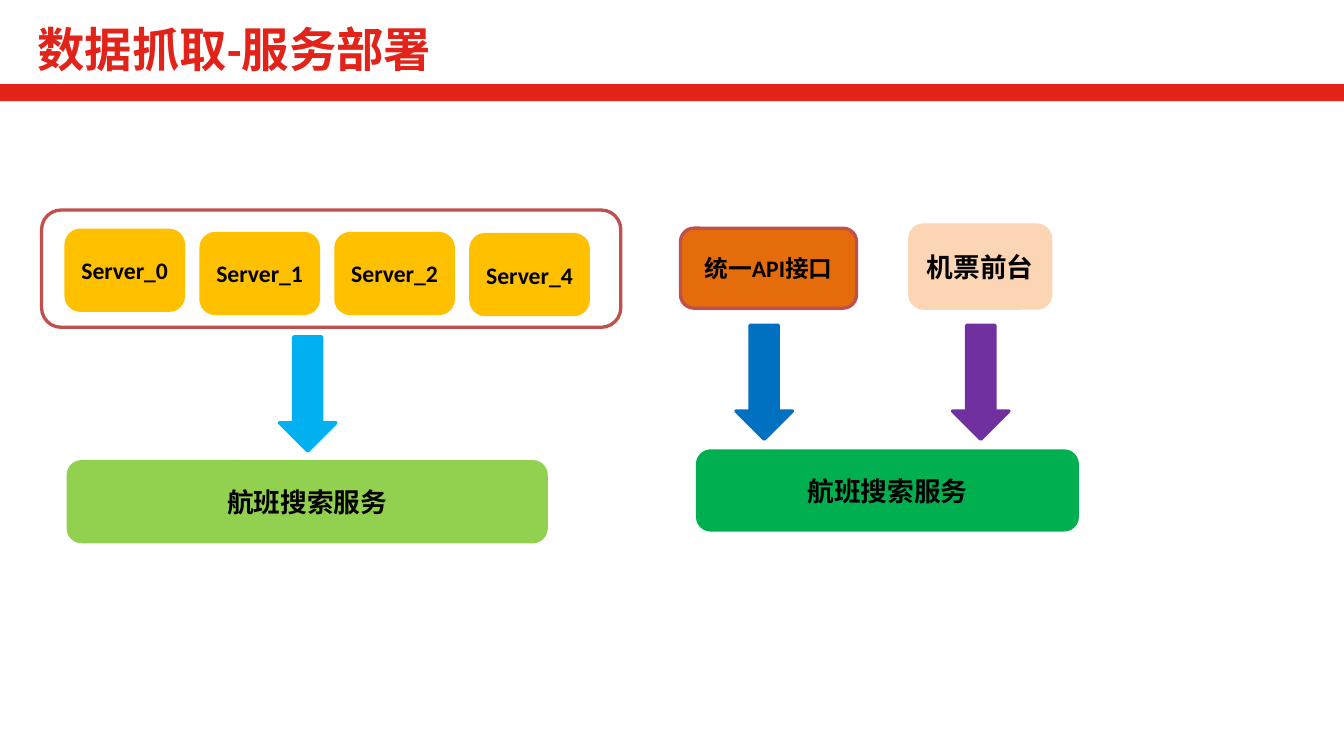
from lxml import etree
from pptx import Presentation
from pptx.dml.color import RGBColor
from pptx.enum.shapes import MSO_SHAPE
from pptx.enum.text import MSO_ANCHOR, PP_ALIGN
from pptx.oxml.ns import qn
from pptx.util import Inches, Pt

RECTANGLE = MSO_SHAPE.RECTANGLE
ROUNDED = MSO_SHAPE.ROUNDED_RECTANGLE
DOWN_ARROW = MSO_SHAPE.DOWN_ARROW
TOP = MSO_ANCHOR.TOP
MIDDLE = MSO_ANCHOR.MIDDLE
LEFT = PP_ALIGN.LEFT
CENTER = PP_ALIGN.CENTER

LATIN_FONT = "Calibri"
CHINESE_FONT = "Noto Sans CJK SC"
RED = "E2231A"
BRICK = "C0504D"
AMBER = "FFC000"
BLACK = "000000"
SERVER_TOPS = {"Server_0": 2.16, "Server_1": 2.19, "Server_2": 2.19, "Server_4": 2.2}


def color(value):
    """Turn a hex string into a colour."""
    return RGBColor.from_string(value)


def write_text(shape, text, size, ink, align, anchor):
    """Write one bold paragraph into a shape."""
    frame = shape.text_frame
    frame.text = text
    frame.word_wrap = False
    frame.vertical_anchor = anchor
    para = frame.paragraphs[0]
    para.alignment = align
    font = para.font
    font.name = LATIN_FONT
    font.size = Pt(size)
    font.bold = True
    font.color.rgb = color(ink)
    properties = para._p.pPr.find(qn("a:defRPr"))
    etree.SubElement(properties, qn("a:ea"), typeface=CHINESE_FONT)
    return para


def add_block(page, kind, area, fill=None, line=None):
    """Add a preset shape with an optional fill and outline."""
    block = page.shapes.add_shape(kind, *map(Inches, area))
    block.shadow.inherit = False
    if fill:
        block.fill.solid()
        block.fill.fore_color.rgb = color(fill)
    else:
        block.fill.background()
    if line:
        block.line.color.rgb = color(line)
        block.line.width = Pt(2.25)
    else:
        block.line.fill.background()
    return block


def add_label_box(page, text, area, fill, line, size=18):
    """Add a rounded box with a centred label."""
    box = add_block(page, ROUNDED, area, fill, line)
    write_text(box, text, size, BLACK, CENTER, MIDDLE)
    return box


def add_arrow(page, left, top, fill):
    """Add a downward block arrow."""
    add_block(page, DOWN_ARROW, (left, top, 0.53, 1.07), fill, fill)


def add_title(page, text):
    """Place the title above the red band."""
    title = page.shapes.title
    title.left, title.top = Inches(0.25), Inches(0.14)
    title.width, title.height = Inches(6.69), Inches(0.71)
    write_text(title, text, 32, RED, LEFT, TOP)


def add_servers(page):
    """Add the framed row of crawler servers."""
    for index, (name, top) in enumerate(SERVER_TOPS.items()):
        area = (0.62 + 1.265 * index, top, 1.1, 0.75)
        server = add_label_box(page, name, area, AMBER, AMBER, 16)
        server.adjustments[0] = 0.18
    add_block(page, ROUNDED, (0.39, 1.97, 5.43, 1.1), line=BRICK)


def main():
    """Build the deployment slide."""
    deck = Presentation()
    deck.slide_width, deck.slide_height = Inches(12.6), Inches(7.09)
    page = deck.slides.add_slide(deck.slide_layouts[5])
    add_block(page, RECTANGLE, (0, 0.79, 12.6, 0.16), RED)
    add_title(page, "数据抓取-服务部署")
    add_servers(page)
    add_arrow(page, 2.62, 3.16, "00B0F0")
    add_label_box(page, "航班搜索服务", (0.64, 4.33, 4.48, 0.75), "92D050", "92D050")
    add_label_box(page, "航班搜索服务", (6.54, 4.23, 3.56, 0.74), "00B050", "00B050")
    add_label_box(page, "统一API接口", (6.38, 2.14, 1.65, 0.75), "E46C0A", BRICK, 16)
    add_label_box(page, "机票前台", (8.53, 2.11, 1.32, 0.78), "FCD5B5", "FCD5B5")
    add_arrow(page, 6.9, 3.05, "0070C0")
    add_arrow(page, 8.93, 3.05, "7030A0")
    deck.save("out.pptx")


if __name__ == "__main__":
    main()
